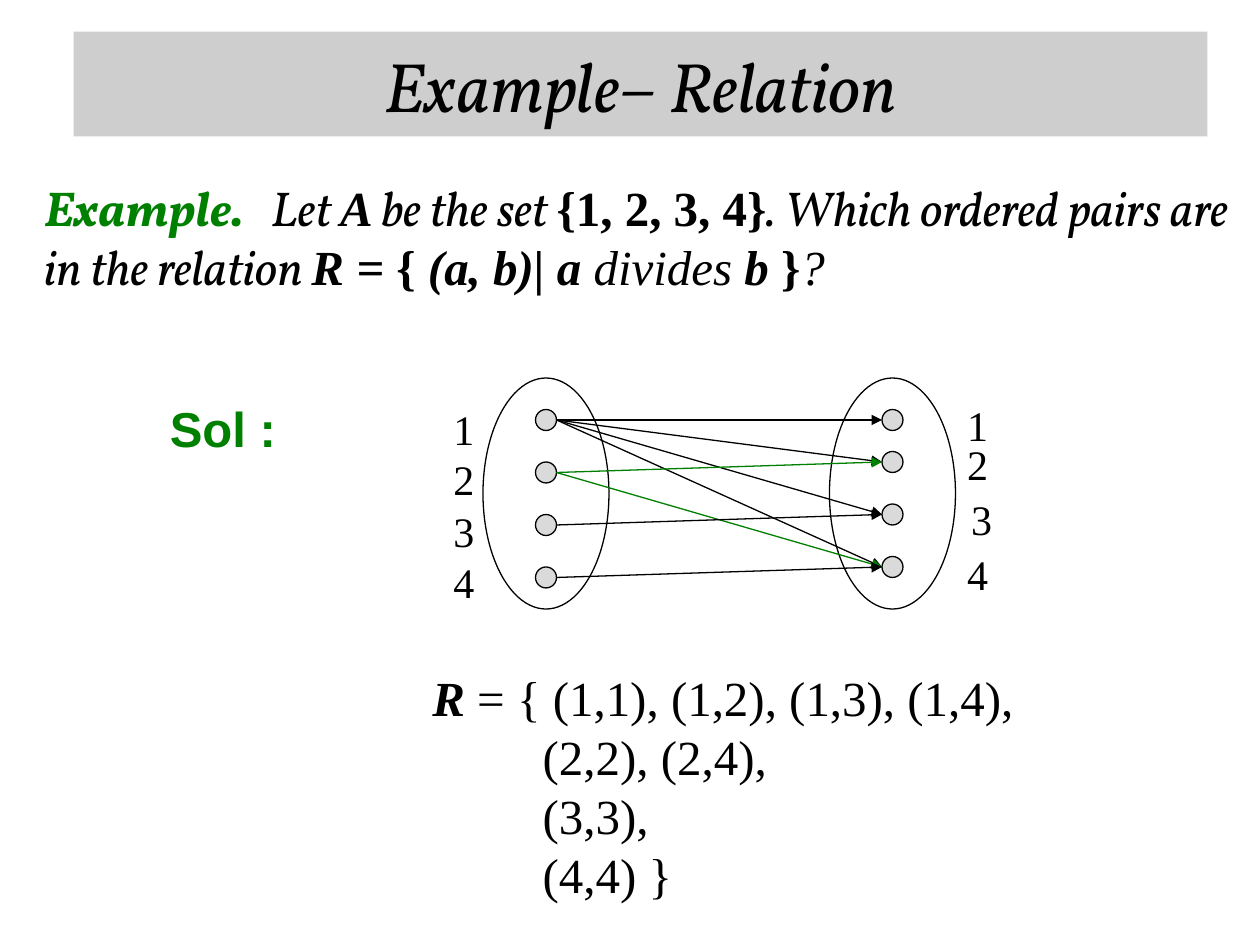
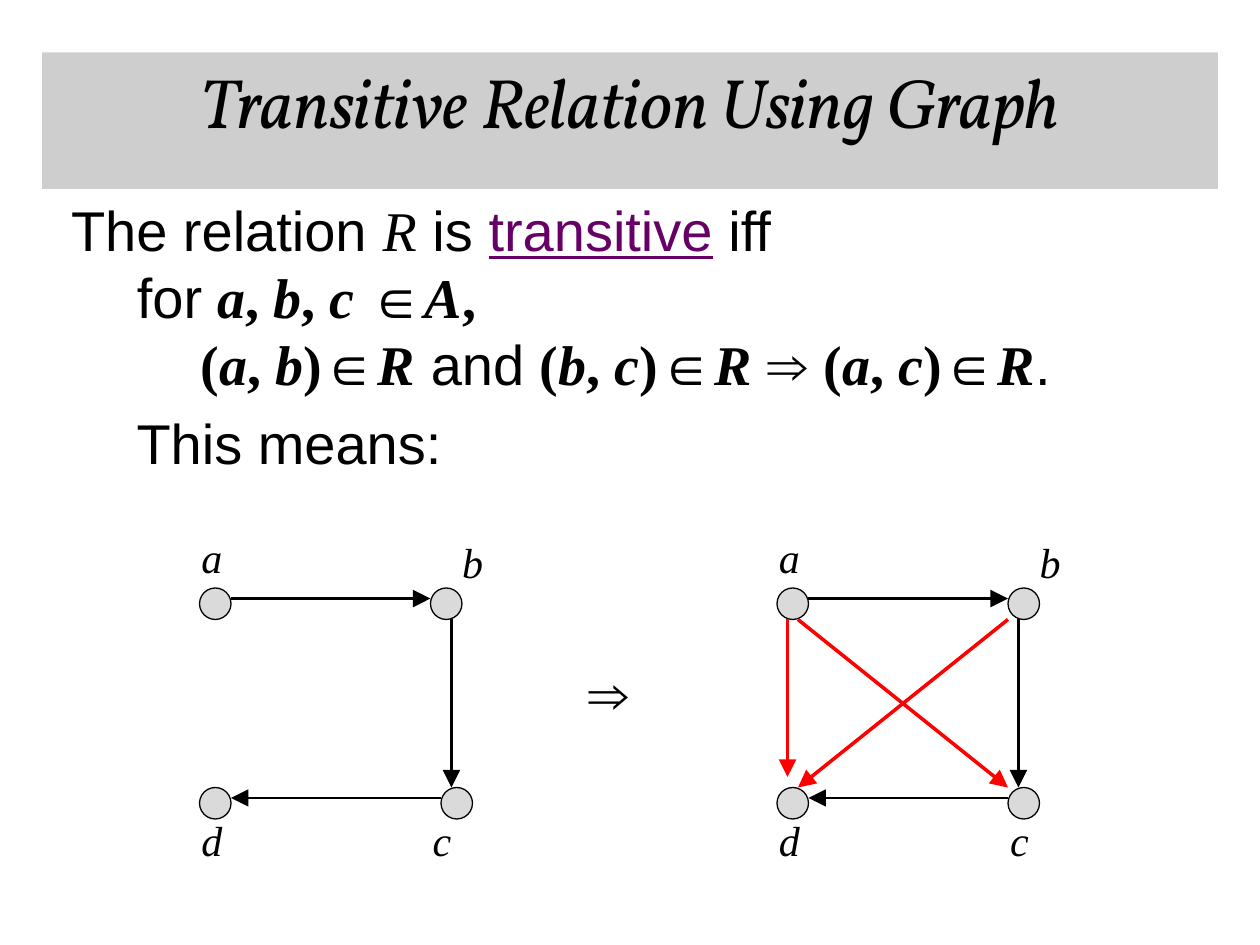
from itertools import groupby

from lxml import etree
from pptx import Presentation
from pptx.dml.color import RGBColor
from pptx.enum.shapes import MSO_CONNECTOR, MSO_SHAPE
from pptx.enum.text import MSO_ANCHOR, MSO_AUTO_SIZE, PP_ALIGN
from pptx.oxml.ns import qn
from pptx.util import Pt

TOP, MIDDLE = MSO_ANCHOR.TOP, MSO_ANCHOR.MIDDLE
LEFT, CENTER = PP_ALIGN.LEFT, PP_ALIGN.CENTER
OVAL, STRAIGHT = MSO_SHAPE.OVAL, MSO_CONNECTOR.STRAIGHT
FIXED = MSO_AUTO_SIZE.NONE

SERIF, SANS, DISPLAY = "Times New Roman", "Arial", "Vollkorn"
BLACK, GREEN, RED, PURPLE = "000000", "008000", "FF0000", "660066"
BAND, NODE = "CECECE", "DADADA"


def color(hex_code):
    return RGBColor.from_string(hex_code)


def pts(*lengths):
    return [Pt(length) for length in lengths]


def run(text, font=SERIF, bold=False, italic=False, ink=BLACK, underline=False):
    return text, font, bold, italic, ink, underline


def math(expression):
    return [run("".join(chars), bold=True, italic=is_letter)
            for is_letter, chars in groupby(expression, str.isalpha)]


def write(paragraph, runs, size, align=LEFT):
    paragraph.alignment = align
    for text, font, bold, italic, ink, underline in runs:
        piece = paragraph.add_run()
        piece.text = text
        style = piece.font
        style.name, style.size = font, Pt(size)
        style.bold, style.italic, style.underline = bold, italic, underline
        style.color.rgb = color(ink)


def indent(paragraph, left):
    properties = paragraph._p.get_or_add_pPr()
    properties.set("marL", str(Pt(left)))
    properties.set("indent", "0")
    etree.SubElement(properties, qn("a:buNone"))


def place(holder, box, anchor):
    holder.left, holder.top, holder.width, holder.height = pts(*box)
    frame = holder.text_frame
    frame.word_wrap, frame.auto_size = True, FIXED
    frame.vertical_anchor = anchor
    return frame


def title_band(slide, box, text, anchor):
    title = slide.shapes.title
    title.fill.solid()
    title.fill.fore_color.rgb = color(BAND)
    frame = place(title, box, anchor)
    write(frame.paragraphs[0], [run(text, DISPLAY, italic=True)], 40, CENTER)


def text_box(slide, box, lines, size, align=LEFT, wrap=False):
    frame = slide.shapes.add_textbox(*pts(*box)).text_frame
    frame.word_wrap = wrap
    for number, runs in enumerate(lines):
        paragraph = frame.add_paragraph() if number else frame.paragraphs[0]
        write(paragraph, runs, size, align)
    return frame


def label(slide, x, y, text, height, italic=False):
    text_box(slide, (x, y, 26, height), [[run(text, italic=italic)]], 24, CENTER)


def oval(slide, box, fill=None):
    shape = slide.shapes.add_shape(OVAL, *pts(*box))
    shape.shadow.inherit = False
    if fill:
        shape.fill.solid()
        shape.fill.fore_color.rgb = color(fill)
    else:
        shape.fill.background()
    shape.line.color.rgb = color(BLACK)
    shape.line.width = Pt(0.75)


def arrow(slide, start, end, ink, width, head):
    connector = slide.shapes.add_connector(STRAIGHT, *pts(*start, *end))
    connector.line.color.rgb = color(ink)
    connector.line.width = Pt(width)
    etree.SubElement(connector.line._ln, qn("a:tailEnd"),
                     type="triangle", w=head, len=head)
    etree.SubElement(connector._element.spPr, qn("a:effectLst"))


def question(slide, box):
    frame = place(slide.placeholders[1], box, MIDDLE)
    paragraph = frame.paragraphs[0]
    write(paragraph, [
        run("Example.", DISPLAY, True, True, GREEN),
        run(" ", DISPLAY, italic=True),
        run("Let ", DISPLAY, italic=True),
        *math("A"),
        run(" be the set ", DISPLAY, italic=True),
        *math("{1, 2, 3, 4}"),
        run(". Which ordered pairs are in the relation ", DISPLAY, italic=True),
        run("R = ", bold=True, italic=True),
        run("{", bold=True),
        run(" (a, b)| a", bold=True, italic=True),
        run(" divides ", italic=True),
        run("b ", bold=True, italic=True),
        run("}", bold=True),
        run("?", italic=True),
    ], 28)
    wide_gap = paragraph.runs[1]
    wide_gap._r.get_or_add_rPr().set("spc", "1080")
    paragraph.space_before = Pt(0)
    indent(paragraph, 0)


def number_set(slide, box, node_tops, label_spots):
    left, top, width, height = box
    oval(slide, box)
    for number, (node_top, (label_x, label_y)) in enumerate(
            zip(node_tops, label_spots), 1):
        oval(slide, (left + 30, top + node_top, 12, 12), NODE)
        label(slide, left + label_x, top + label_y, str(number), 29)


def divides_diagram(slide, box):
    left, top, width, height = box
    domain_tops, range_tops = (18, 48, 78, 108), (18, 42, 72, 102)
    number_set(slide, (left, top, 72, height), domain_tops,
               [(-24, y) for y in (10.8, 39.6, 69.5, 98.6)])
    number_set(slide, (left + width - 72, top, 72, height), range_tops,
               [(71.6, 8.6), (71.6, 31), (73.8, 62.6), (71.6, 94)])
    for a, domain_top in enumerate(domain_tops, 1):
        for b, range_top in enumerate(range_tops, 1):
            if b % a == 0:
                arrow(slide, (left + 42, top + domain_top + 6),
                      (left + width - 42, top + range_top + 6),
                      GREEN if a == 2 else BLACK, 0.75, "med")


def solution_label(slide, box):
    frame = text_box(slide, box,
                     [[run("Sol :", SANS, bold=True, ink=GREEN)]], 28)
    frame.paragraphs[0].line_spacing = 0.9


def solution_pairs(slide, box):
    lines = [[run("R", bold=True, italic=True),
              run(" = { (1,1), (1,2), (1,3), (1,4),")]]
    lines += [[run(text)] for text in ("(2,2), (2,4),", "(3,3),", "(4,4) }")]
    frame = text_box(slide, box, lines, 28, wrap=True)
    for paragraph in frame.paragraphs[1:]:
        indent(paragraph, 63)


def definition(slide, box):
    frame = place(slide.placeholders[1], box, TOP)
    lines = [
        (15.4, [run("The relation ", SANS), run("R", italic=True),
                run(" is ", SANS),
                run("transitive", SANS, ink=PURPLE, underline=True),
                run(" iff", SANS)]),
        (53, [run("for ", SANS), *math("a, b, c ∈A,")]),
        (89.3, [*math("(a, b)∈R"), run(" and ", SANS), *math("(b, c)∈R"),
                run(" ⇒ ", SANS), *math("(a, c)∈R"), run(".", SANS)]),
        (52.8, [run("This means:", SANS)]),
    ]
    for number, (left, runs) in enumerate(lines):
        paragraph = frame.add_paragraph() if number else frame.paragraphs[0]
        write(paragraph, runs, 32)
        if number in (1, 2):
            paragraph.space_before = Pt(0)
        indent(paragraph, left)


def vertex_graph(slide, box, c_x, closing_arrows=()):
    left, top, width, height = box
    vertices = {"a": (0, 36, -6, 0), "b": (132, 36, 143, 3),
                "c": (c_x, 150, 125.5, 162), "d": (0, 150, -6, 162)}
    for name, (x, y, label_x, label_y) in vertices.items():
        oval(slide, (left + x, top + y, 18, 18), NODE)
        label(slide, left + label_x, top + label_y, name, 36, italic=True)
    edges = [((18, 42), (132, 42), BLACK, 2),
             ((c_x + 6, 54), (c_x + 6, 150), BLACK, 2),
             ((c_x, 156), (18, 156), BLACK, 1.5)]
    edges += [(start, end, RED, 2) for start, end in closing_arrows]
    for (x1, y1), (x2, y2), ink, weight in edges:
        arrow(slide, (left + x1, top + y1), (left + x2, top + y2),
              ink, weight, "lg")


def relation_slide(slide):
    title_band(slide, (42, 18, 648, 60), "Example– Relation", MIDDLE)
    question(slide, (18, 78, 702, 114))
    solution_label(slide, (90, 228, 84, 42))
    divides_diagram(slide, (276, 216, 270, 132))
    solution_pairs(slide, (240, 378, 352, 142))


def transitive_slide(slide):
    title_band(slide, (24, 30, 672, 78), "Transitive Relation Using Graph", TOP)
    definition(slide, (18, 108, 702, 174))
    vertex_graph(slide, (114, 300, 156, 198), c_x=138)
    text_box(slide, (329, 373, 46, 45), [[run("⇒")]], 32, wrap=True)
    vertex_graph(slide, (444, 300, 156, 198), c_x=132, closing_arrows=[
        ((12, 54), (132, 150)), ((6, 54), (6, 144)), ((132, 54), (12, 150))])


def main():
    deck = Presentation()
    deck.slide_width, deck.slide_height = pts(720, 540)
    for build in (relation_slide, transitive_slide):
        build(deck.slides.add_slide(deck.slide_layouts[1]))
    deck.save("out.pptx")


if __name__ == "__main__":
    main()
